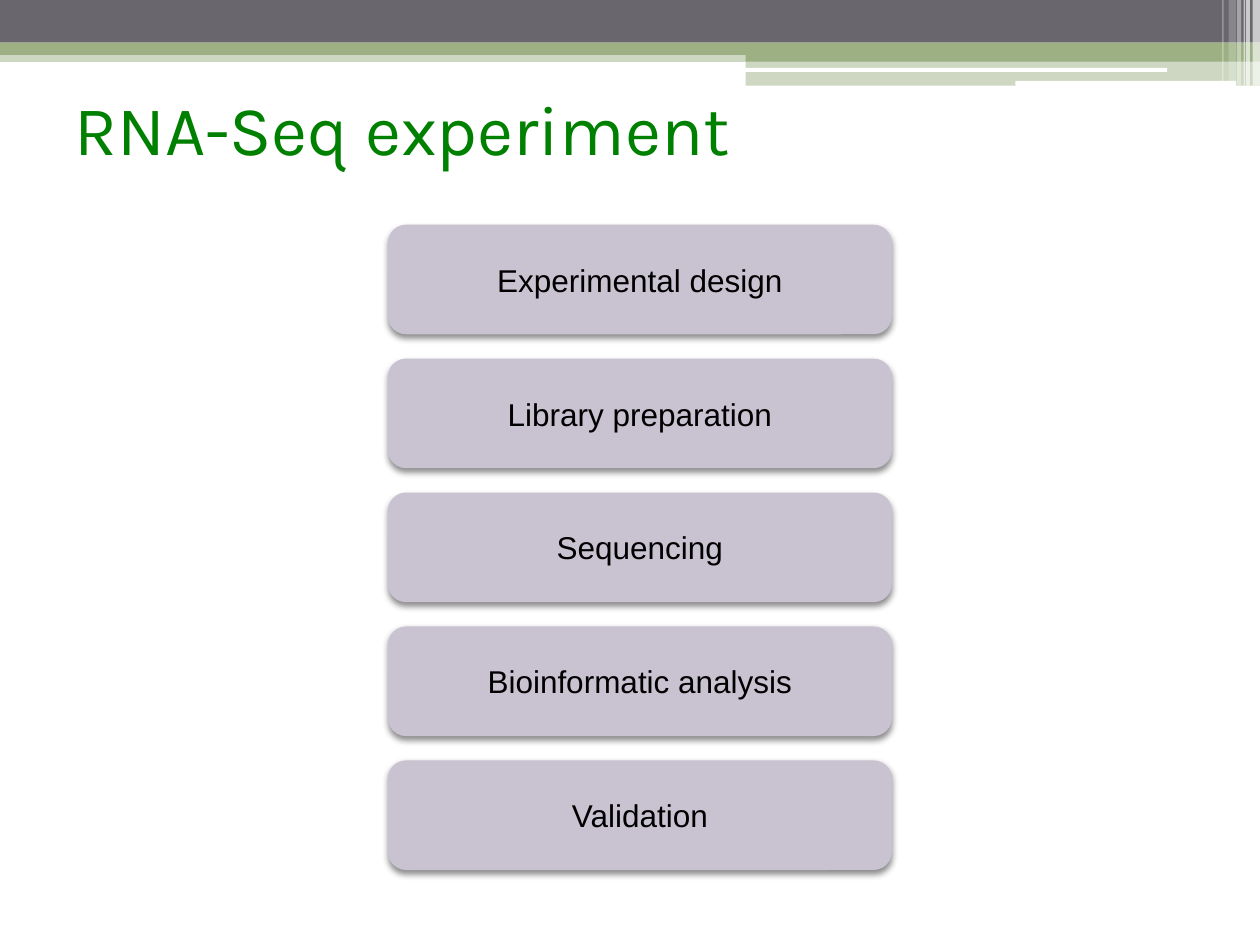
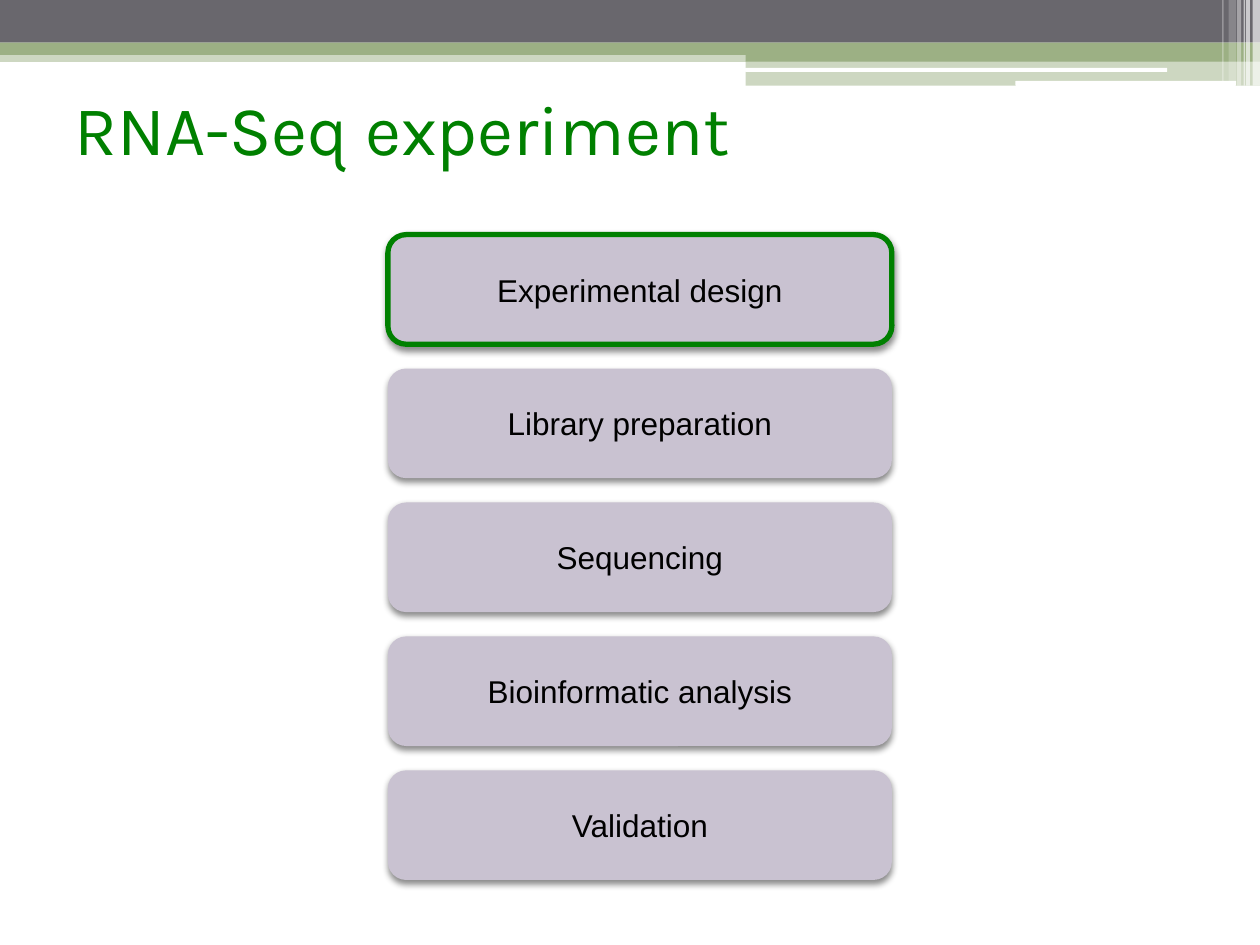
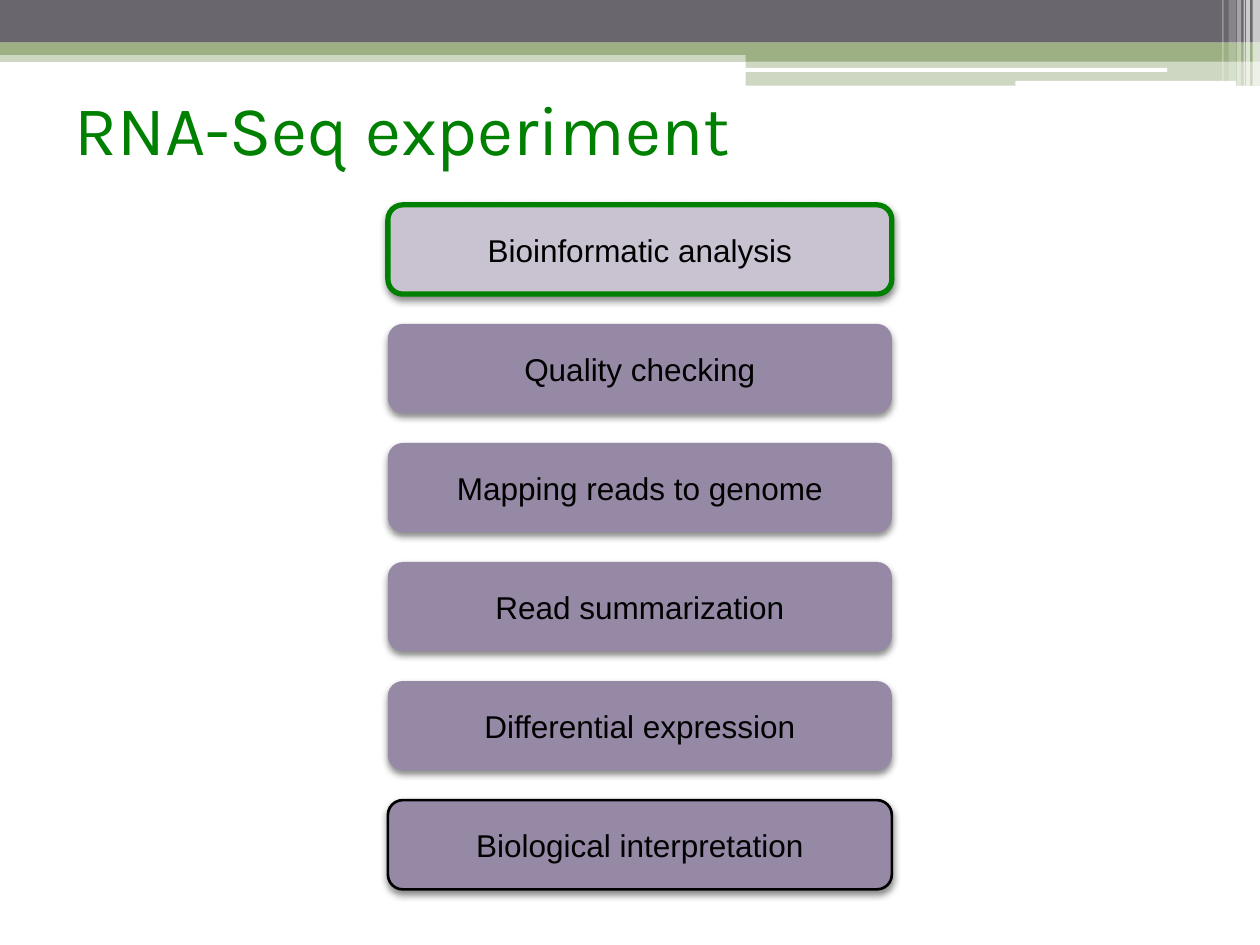
from lxml import etree
from pptx import Presentation
from pptx.dml.color import RGBColor
from pptx.enum import shapes as kinds, text as txt
from pptx.oxml import ns
from pptx.util import Cm, Pt

# Colours
WHITE = RGBColor(0xFF, 0xFF, 0xFF)
BLACK = RGBColor(0, 0, 0)
GREY = RGBColor(0x69, 0x67, 0x6D)
SAGE = RGBColor(0x9C, 0xB0, 0x84)
GREEN = RGBColor(0, 0x80, 0)
LILAC = RGBColor(0xC9, 0xC2, 0xD1)
PURPLE = RGBColor(0x96, 0x89, 0xA6)

RECT = kinds.MSO_SHAPE.RECTANGLE
ROUND = kinds.MSO_SHAPE.ROUNDED_RECTANGLE

# Header bands: left, top, width, height (cm), colour, opacity in percent
BANDS = [
    (0, 1.02, 25.4, 0.23, SAGE, 50),
    (0, 0, 25.4, 0.86, GREY, 100),
    (0, 0.86, 25.4, 0.25, SAGE, 100),
    (15.03, 0.99, 10.37, 0.25, SAGE, 100),
    (15.03, 1.23, 10.37, 0.5, SAGE, 50),
]
# White bars that cut into the bands
BARS = [(15.02, 1.37, 8.51, 0.08), (20.47, 1.63, 4.45, 0.1)]
# White stripes at the right edge: left, width, height, opacity
STRIPES = [
    (25.25, 0.15, 1.73, 65),
    (25.12, 0.08, 1.73, 65),
    (25.07, 0.03, 1.73, 60),
    (24.94, 0.08, 1.73, 40),
    (24.77, 0.15, 1.63, 20),
    (24.64, 0.03, 1.63, 30),
]

STEPS = ["Experimental design", "Library preparation", "Sequencing",
         "Bioinformatic analysis", "Validation"]
STAGES = ["Bioinformatic analysis", "Quality checking",
          "Mapping reads to genome", "Read summarization",
          "Differential expression", "Biological interpretation"]


def fade(parent, alpha):
    """Set the opacity of the first colour below an XML element."""
    tone = next(parent.iter(ns.qn("a:srgbClr")))
    etree.SubElement(tone, ns.qn("a:alpha"), val=str(alpha * 1000))


def block(slide, kind, left, top, width, height, fill, alpha=100):
    shape = slide.shapes.add_shape(kind, Cm(left), Cm(top), Cm(width), Cm(height))
    shape.shadow.inherit = False
    shape.fill.solid()
    shape.fill.fore_color.rgb = fill
    shape.line.fill.background()
    if alpha < 100:
        fade(shape.fill._xPr, alpha)
    return shape


def write(shape, words, size=18, font="Arial", color=BLACK,
          align=txt.PP_ALIGN.CENTER, anchor=txt.MSO_ANCHOR.MIDDLE):
    frame = shape.text_frame
    frame.word_wrap = True
    frame.vertical_anchor = anchor
    para = frame.paragraphs[0]
    para.alignment = align
    run = para.add_run()
    run.text = words
    run.font.size = Pt(size)
    run.font.name = font
    run.font.color.rgb = color
    return frame


def shade(shape):
    """Give a shape a soft shadow below it."""
    effects = shape._element.spPr.find(ns.qn("a:effectLst"))
    outer = etree.SubElement(
        effects, ns.qn("a:outerShdw"), blurRad=str(Pt(4)), dist=str(Pt(2)),
        dir="5400000", algn="ctr", rotWithShape="0")
    etree.SubElement(outer, ns.qn("a:srgbClr"), val=str(BLACK))
    fade(outer, 45)


def header(slide):
    for *place, color, alpha in BANDS:
        block(slide, RECT, *place, color, alpha)
    for place in BARS:
        block(slide, ROUND, *place, WHITE)
    for left, width, height, alpha in STRIPES:
        block(slide, RECT, left, 0, width, height, WHITE, alpha)


def title(slide, words):
    box = slide.shapes.add_textbox(Cm(1.5), Cm(1.73), Cm(23.5), Cm(2.39))
    frame = write(box, words, size=40, font="Karla", color=GREEN,
                  align=txt.PP_ALIGN.LEFT, anchor=txt.MSO_ANCHOR.TOP)
    frame.margin_left = frame.margin_right = 0
    frame.margin_top = frame.margin_bottom = 0


def stack(slide, names, top, height, pitch, fills, lines):
    """Draw a column of boxes; lines maps an index to colour and width."""
    for i, name in enumerate(names):
        box = block(slide, ROUND, 7.82, top + i * pitch, 10.16, height, fills[i])
        if i in lines:
            color, width = lines[i]
            box.line.color.rgb = color
            box.line.width = Pt(width)
        shade(box)
        write(box, name)


def main():
    deck = Presentation()
    deck.slide_width, deck.slide_height = Cm(25.4), Cm(19.05)

    # Top, height and pitch of each column, then its colours and outlines
    pale = [LILAC] * len(STEPS)
    deep = [LILAC] + [PURPLE] * (len(STAGES) - 1)
    mark = (GREEN, 3)
    columns = [
        (STEPS, 4.53, 2.21, 2.7, pale, {}),
        (STEPS, 4.73, 2.21, 2.7, pale, {0: mark}),
        (STAGES, 4.13, 1.8, 2.4, deep, {0: mark, 5: (BLACK, 1.5)}),
    ]
    for column in columns:
        slide = deck.slides.add_slide(deck.slide_layouts[6])
        header(slide)
        title(slide, "RNA-Seq experiment")
        stack(slide, *column)

    deck.save("out.pptx")


if __name__ == "__main__":
    main()
